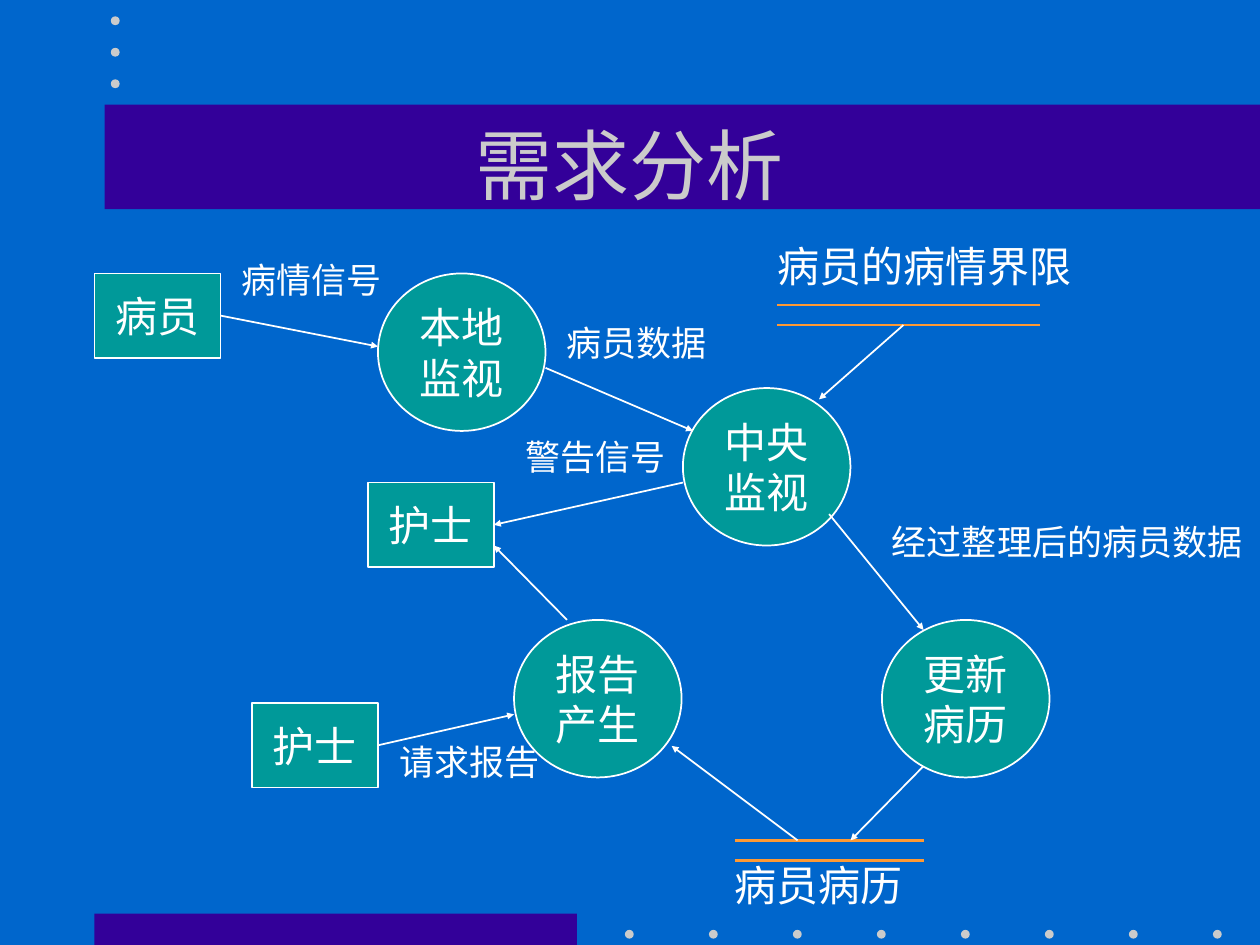
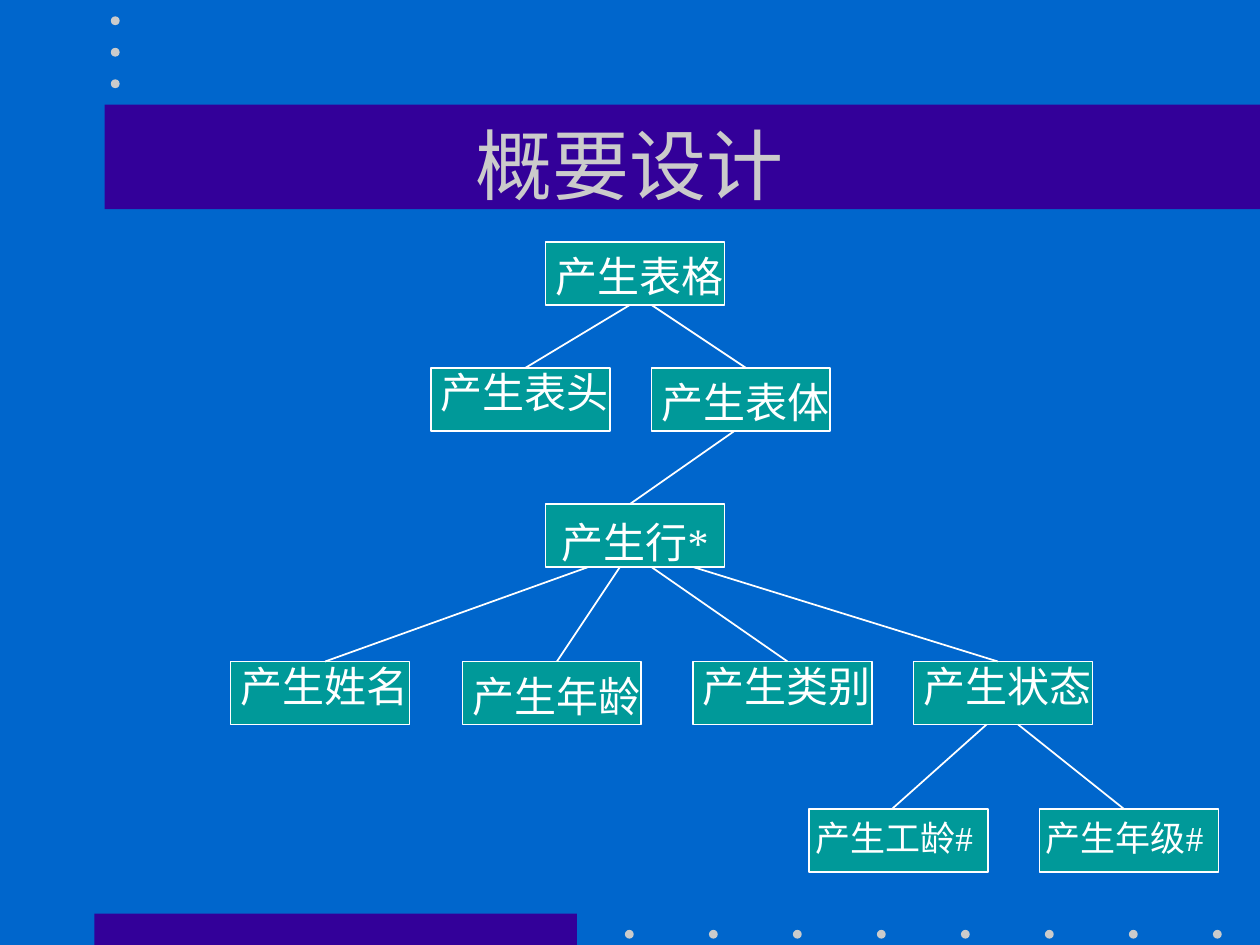
from lxml import etree
from pptx import Presentation
from pptx.dml.color import RGBColor
from pptx.enum.shapes import MSO_CONNECTOR, MSO_SHAPE
from pptx.enum.text import MSO_ANCHOR, MSO_AUTO_SIZE, PP_ALIGN
from pptx.oxml.ns import qn
from pptx.util import Inches, Pt

FONT = "Times New Roman"
BLUE, PURPLE, GREY = "0066CC", "330099", "CBCBCB"
TEAL, WHITE, ORANGE = "009999", "FFFFFF", "FF9933"
RIGHT = 3

# Data flow diagram: left, top of each part
PROCESS_SIZE, ACTOR_SIZE = (1.33, 1.25), (1, 0.67)
PROCESSES = [
    ("本地\n监视", 3, 2.17),
    ("中央\n监视", 5.42, 3.08),
    ("报告\n产生", 4.08, 4.92),
    ("更新\n病历", 7, 4.92),
]
ACTORS = {
    "warned nurse": ("护士", 2.92, 3.83),
    "asking nurse": ("护士", 2, 5.58),
    "patient": ("病员", 0.75, 2.17),
}
# An end is a point, or an actor whose right side it joins
FLOWS = [
    ("patient", (3, 2.75)),
    ((4.33, 2.92), (5.5, 3.42)),
    ((5.42, 3.83), "warned nurse"),
    ((4.5, 4.92), (3.92, 4.33)),
    ("asking nurse", (4.08, 5.67)),
    ((6.58, 4.08), (7.33, 5)),
    ((7.17, 2.58), (6.5, 3.17)),
    ((6.33, 6.67), (5.33, 5.92)),
    ((7.33, 6.08), (6.75, 6.67)),
]
STORES = [(5.83, 7.33, 6.67), (6.17, 8.25, 2.42)]  # left, right, top
STORE_GAP = 0.16
FLOW_LABELS = [  # text, left, top, width, size
    ("病员病历", 5.73, 6.77, 1.53, 24),
    ("病员的病情界限", 6.07, 1.86, 2.53, 24),
    ("警告信号", 4.07, 3.41, 1.31, 20),
    ("病员数据", 4.4, 2.5, 1.31, 20),
    ("请求报告", 3.07, 5.83, 1.31, 20),
    ("经过整理后的病员数据", 6.98, 4.08, 2.98, 20),
    ("病情信号", 1.82, 2, 1.31, 20),
]

# Structure chart
MODULE_W, MODULE_H = 1.42, 0.5
LEVELS = [1.92, 2.92, 4, 5.25, 6.42]
# Label styles: shift right and down from the box corner, width, size
HIGH, LOW = (-0.02, -0.06, 1.53, 24), (-0.02, 0.02, 1.53, 24)
STARRED, SMALL = (0.03, 0.05, 1.5, 24), (-0.05, 0.01, 1.52, 20)
MODULES = [  # text, level, left, label style
    ("产生表格", 0, 4.33, LOW),
    ("产生表头", 1, 3.42, HIGH),
    ("产生表体", 1, 5.17, LOW),
    ("产生行*", 2, 4.33, STARRED),
    ("产生姓名", 3, 1.83, HIGH),
    ("产生年龄", 3, 3.67, LOW),
    ("产生类别", 3, 5.5, HIGH),
    ("产生状态", 3, 7.25, HIGH),
    ("产生工龄#", 4, 6.42, SMALL),
    ("产生年级#", 4, 8.25, SMALL),
]
CALLS = [  # upper level, x at its bottom, x at the top of the next level
    (0, 5, 4.17),
    (0, 5.17, 5.92),
    (1, 5.83, 5),
    (2, 4.67, 2.58),
    (2, 4.92, 4.42),
    (2, 5.17, 6.25),
    (2, 5.5, 7.92),
    (3, 7.83, 7.08),
    (3, 8.08, 8.92),
]


def rgb(color):
    return RGBColor.from_string(color)


def write(shape, text, size, color=WHITE, align=PP_ALIGN.CENTER):
    tf = shape.text_frame
    tf.text = text
    for p in tf.paragraphs:
        p.alignment = align
        for r in p.runs:
            r.font.name, r.font.size = FONT, Pt(size)
            r.font.color.rgb = rgb(color)
    return tf


def add_solid(slide, kind, left, top, width, height, fill, line=None):
    s = slide.shapes.add_shape(kind, Inches(left), Inches(top),
                               Inches(width), Inches(height))
    s.shadow.inherit = False
    s.fill.solid()
    s.fill.fore_color.rgb = rgb(fill)
    if line:
        s.line.color.rgb = rgb(line)
        s.line.width = Pt(1)
    else:
        s.line.fill.background()
    return s


def add_node(slide, kind, text, left, top, size):
    s = add_solid(slide, kind, left, top, *size, TEAL, WHITE)
    tf = write(s, text, 24)
    tf.word_wrap = False
    tf.vertical_anchor = MSO_ANCHOR.MIDDLE
    return s


def add_label(slide, text, left, top, width, size):
    height = 0.5 if size == 24 else 0.44
    s = slide.shapes.add_textbox(Inches(left), Inches(top),
                                 Inches(width), Inches(height))
    tf = write(s, text, size, align=PP_ALIGN.LEFT)
    tf.word_wrap = False
    tf.auto_size = MSO_AUTO_SIZE.SHAPE_TO_FIT_TEXT


def add_line(slide, start, end, color=WHITE, width=1, arrow=False):
    c = slide.shapes.add_connector(MSO_CONNECTOR.STRAIGHT,
                                   *map(Inches, (*start, *end)))
    c.line.color.rgb = rgb(color)
    c.line.width = Pt(width)
    if arrow:
        ln = c._element.spPr.find(qn("a:ln"))
        etree.SubElement(ln, qn("a:tailEnd"), type="triangle", w="sm", len="sm")
    etree.SubElement(c._element.spPr, qn("a:effectLst"))
    return c


def add_base_slide(prs, title):
    """Add a slide with background, bands, dots and title."""
    slide = prs.slides.add_slide(prs.slide_layouts[6])
    slide.background.fill.solid()
    slide.background.fill.fore_color.rgb = rgb(BLUE)
    add_solid(slide, MSO_SHAPE.RECTANGLE, 0.75, 7.25, 3.83, 0.25, PURPLE)
    add_solid(slide, MSO_SHAPE.RECTANGLE, 0.83, 0.83, 9.17, 0.83, PURPLE)
    dots = [(4.96 + i * 2 / 3, 7.38) for i in range(8)]
    dots += [(0.88, 0.13 + i * 0.25) for i in range(3)]
    for left, top in dots:
        add_solid(slide, MSO_SHAPE.OVAL, left, top, 0.07, 0.07, GREY)
    s = slide.shapes.add_textbox(Inches(0.75), Inches(0.67),
                                 Inches(8.5), Inches(1.25))
    tf = write(s, title, 44, GREY)
    tf.word_wrap = True
    tf.vertical_anchor = MSO_ANCHOR.MIDDLE
    return slide


def build_data_flow(prs):
    slide = add_base_slide(prs, "需求分析")
    for text, left, top in PROCESSES:
        add_node(slide, MSO_SHAPE.OVAL, text, left, top, PROCESS_SIZE)
    actors = {key: add_node(slide, MSO_SHAPE.RECTANGLE, *actor, ACTOR_SIZE)
              for key, actor in ACTORS.items()}
    for left, right, top in STORES:
        for y in (top, top + STORE_GAP):
            add_line(slide, (left, y), (right, y), ORANGE, 1.5)
    for start, end in FLOWS:
        points = [(0, 0) if e in actors else e for e in (start, end)]
        c = add_line(slide, *points, arrow=True)
        if start in actors:
            c.begin_connect(actors[start], RIGHT)
        if end in actors:
            c.end_connect(actors[end], RIGHT)
    for label in FLOW_LABELS:
        add_label(slide, *label)


def build_structure(prs):
    slide = add_base_slide(prs, "概要设计")
    for _, level, left, _ in MODULES:
        add_solid(slide, MSO_SHAPE.RECTANGLE, left, LEVELS[level],
                  MODULE_W, MODULE_H, TEAL, WHITE)
    for level, x1, x2 in CALLS:
        add_line(slide, (x1, LEVELS[level] + MODULE_H), (x2, LEVELS[level + 1]))
    for text, level, left, (dx, dy, width, size) in MODULES:
        add_label(slide, text, left + dx, LEVELS[level] + dy, width, size)


def main():
    prs = Presentation()
    prs.slide_width, prs.slide_height = Inches(10), Inches(7.5)
    build_data_flow(prs)
    build_structure(prs)
    prs.save("out.pptx")


if __name__ == "__main__":
    main()
